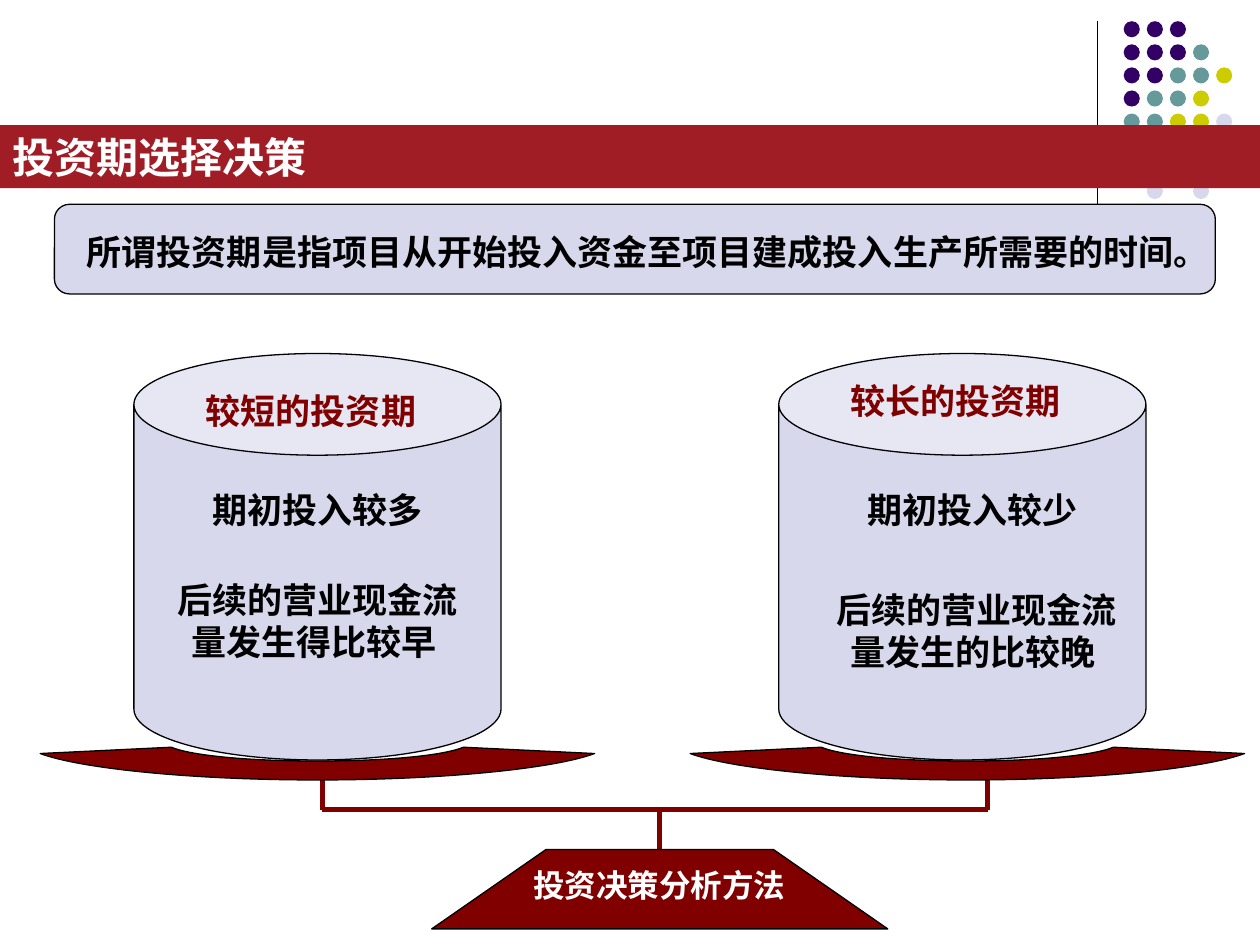
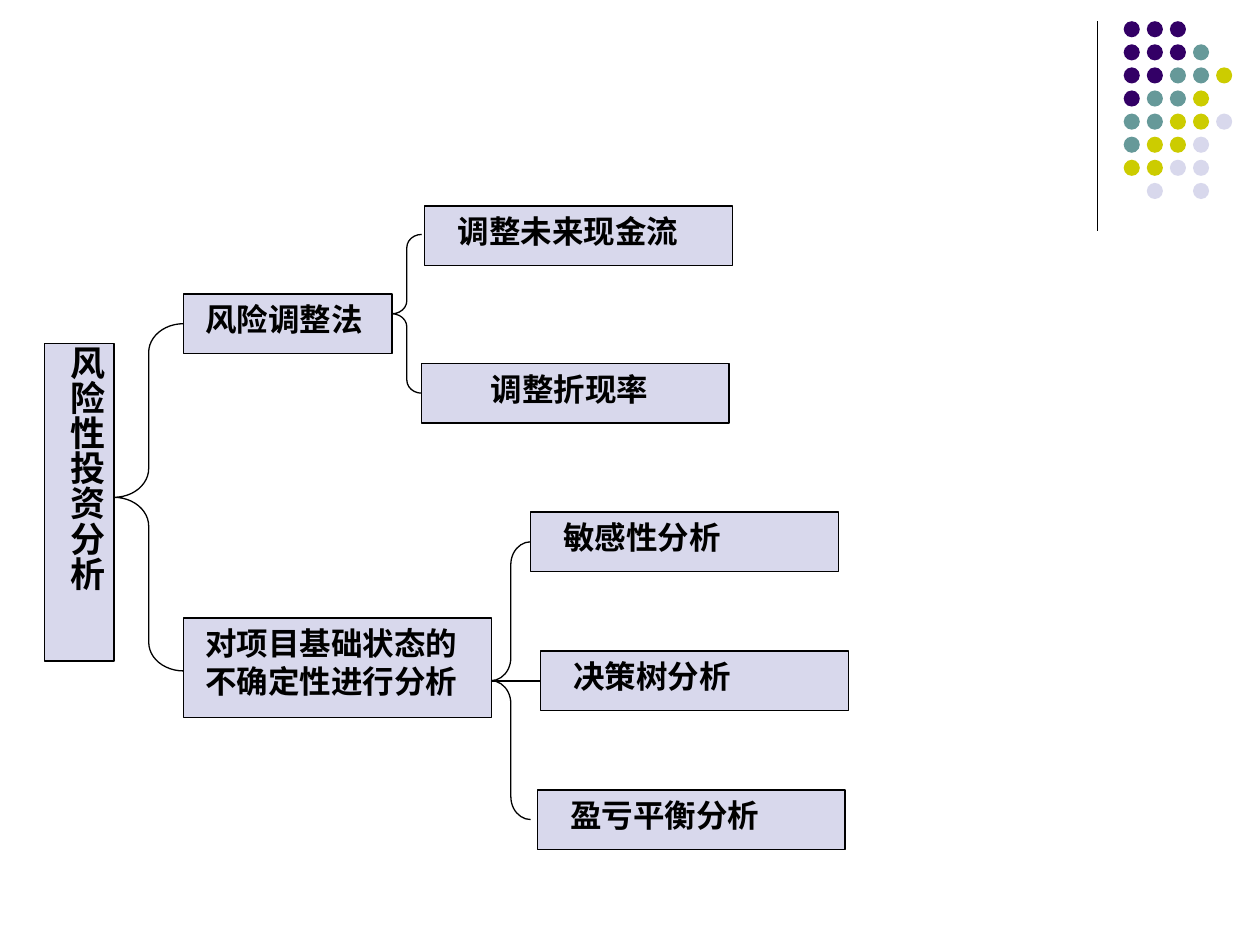
from dataclasses import dataclass

from lxml import etree
from pptx import Presentation
from pptx.dml.color import RGBColor
from pptx.enum.shapes import MSO_CONNECTOR, MSO_SHAPE
from pptx.enum.text import MSO_ANCHOR, PP_ALIGN
from pptx.oxml.ns import qn
from pptx.util import Pt

RECT = MSO_SHAPE.RECTANGLE
ROUND = MSO_SHAPE.ROUNDED_RECTANGLE
OVAL = MSO_SHAPE.OVAL
CAN = MSO_SHAPE.CAN
BRACE = MSO_SHAPE.LEFT_BRACE
TRAPEZOID = MSO_SHAPE.TRAPEZOID
STRAIGHT = MSO_CONNECTOR.STRAIGHT
TOP = MSO_ANCHOR.TOP
MIDDLE = MSO_ANCHOR.MIDDLE
LEFT = PP_ALIGN.LEFT
CENTER = PP_ALIGN.CENTER

FONT = "Arial"
BLACK, WHITE = "000000", "FFFFFF"
PALE, MAROON, BAND = "D8D8EC", "800000", "A11D26"
DOTS = {"P": "330066", "T": "669999", "Y": "CCCC00", "L": PALE}
GRID = ["PPP", "PPPT", "PPTTY", "PTTY", "TTYYL", "TYYL", "YYLL", " L L"]


@dataclass
class Box:
    x: float
    y: float
    w: float
    h: float


@dataclass
class Style:
    size: float = 20
    color: str = BLACK
    align: int = LEFT
    anchor: int = TOP
    left: float = 7.2
    right: float = 7.2
    top: float = 3.6
    base: float = 3.6


@dataclass
class Label:
    text: str
    box: Box
    style: Style


@dataclass
class Node:
    text: str
    box: Box
    pad: float = 18.7


@dataclass
class Fork:
    box: Box
    bend: float


@dataclass
class Bar:
    x1: float
    y1: float
    x2: float
    y2: float


def tint(code: str) -> RGBColor:
    return RGBColor.from_string(code)


def paint(shape, fill: str | None, line: str | None) -> None:
    shape.shadow.inherit = False
    if fill:
        shape.fill.solid()
        shape.fill.fore_color.rgb = tint(fill)
    else:
        shape.fill.background()
    if line:
        shape.line.color.rgb = tint(line)
        shape.line.width = Pt(0.75)
    else:
        shape.line.fill.background()


def write(shape, text: str, style: Style) -> None:
    frame = shape.text_frame
    frame.word_wrap = True
    frame.vertical_anchor = style.anchor
    frame.margin_left, frame.margin_right = Pt(style.left), Pt(style.right)
    frame.margin_top, frame.margin_bottom = Pt(style.top), Pt(style.base)
    frame.text = text
    for para in frame.paragraphs:
        para.alignment = style.align
        for run in para.runs:
            run.font.name = FONT
            run.font.size = Pt(style.size)
            run.font.bold = True
            run.font.color.rgb = tint(style.color)


def draw(slide, kind: int, box: Box, fill: str | None = None,
         line: str | None = BLACK, bends: tuple = ()):
    shape = slide.shapes.add_shape(kind, Pt(box.x), Pt(box.y), Pt(box.w), Pt(box.h))
    for index, bend in enumerate(bends):
        shape.adjustments[index] = bend
    paint(shape, fill, line)
    return shape


def label(slide, item: Label) -> None:
    box = item.box
    shape = slide.shapes.add_textbox(Pt(box.x), Pt(box.y), Pt(box.w), Pt(box.h))
    write(shape, item.text, item.style)


def rule(slide, bar: Bar, color: str = BLACK, width: float = 0.75) -> None:
    line = slide.shapes.add_connector(
        STRAIGHT, Pt(bar.x1), Pt(bar.y1), Pt(bar.x2), Pt(bar.y2))
    line.line.color.rgb = tint(color)
    line.line.width = Pt(width)
    etree.SubElement(line.element.spPr, qn("a:effectLst"))


def arc(half: list) -> list:
    return half + [(-x, y) for x, y in reversed(half[:-1])]


def bend(shape, starts: tuple) -> None:
    lines = list(shape.element.spPr.iter(qn("a:lnTo")))
    for start in starts:
        curve = etree.Element(qn("a:cubicBezTo"))
        lines[start].addprevious(curve)
        for line in lines[start:start + 3]:
            curve.append(line[0])
            line.getparent().remove(line)


def tray(slide, mid: float) -> None:
    inner = arc([(83.5, 427), (71.3, 432), (38.2, 434.9), (0, 434.9)])
    outer = arc([(-158.4, 430.6), (-135.4, 439.2), (-72, 445.7), (0, 445.7)])
    first, *rest = [(Pt(mid + x), Pt(y)) for x, y in inner + outer]
    maker = slide.shapes.build_freeform(*first)
    maker.add_line_segments(rest, close=True)
    shape = maker.convert_to_shape()
    bend(shape, (0, 3, 7, 10))
    paint(shape, MAROON, BLACK)


def base(deck, skip: tuple = ()):
    slide = deck.slides.add_slide(deck.slide_layouts[6])
    rule(slide, Bar(627, 12.2, 627, 131.8))
    for row, marks in enumerate(GRID):
        for col, mark in enumerate(marks):
            if mark in DOTS and row not in skip:
                spot = Box(642.1 + col * 13.2, 12.1 + row * 13.2, 9.2, 9.2)
                draw(slide, OVAL, spot, DOTS[mark], None)
    return slide


def period(deck) -> None:
    slide = base(deck, skip=(5, 6))
    band = draw(slide, RECT, Box(0, 71.5, 720, 36), BAND, None)
    write(band, "投资期选择决策", Style(24, WHITE, anchor=MIDDLE))
    note = draw(slide, ROUND, Box(31.1, 116.8, 663.4, 51.2), PALE, bends=(0.167,))
    write(note, "所谓投资期是指项目从开始投入资金至项目建成投入生产所需要的时间。",
          Style(anchor=MIDDLE, left=16, right=0, top=6.6))

    for x in (76.5, 445):
        draw(slide, CAN, Box(x, 202, 209.8, 232.3), PALE, bends=(0.277,))
    head, body = Style(color=MAROON), Style(align=CENTER)
    for item in (
        Label("较短的投资期", Box(110.5, 219, 137, 31), head),
        Label("期初投入较多", Box(76.7, 275.5, 209.7, 31), body),
        Label("后续的营业现金流量发生得比较早 ", Box(93.6, 327, 176, 55), body),
        Label("较长的投资期", Box(478.8, 213.4, 148, 31), head),
        Label("期初投入较少", Box(473.9, 275.5, 164, 31), body),
        Label("后续的营业现金流量发生的比较晚 ", Box(467.7, 332.6, 181, 55), body),
    ):
        label(slide, item)

    for bar in (Bar(564.3, 445.7, 564.3, 462.7), Bar(184.3, 445.7, 184.3, 462.7),
                Bar(184.3, 462.7, 564.3, 462.7), Bar(377, 462.7, 377, 485.3)):
        rule(slide, bar, MAROON, 3)
    for mid in (181.4, 552.8):
        tray(slide, mid)
    draw(slide, TRAPEZOID, Box(246.7, 485.4, 260.6, 45.4), MAROON, bends=(1.44,))
    label(slide, Label("投资决策分析方法", Box(297.5, 491.5, 181.5, 29), Style(18, WHITE)))


def risk(deck) -> None:
    slide = base(deck)
    root = draw(slide, RECT, Box(25.4, 196.3, 39.7, 181.4), PALE)
    write(root, "风险性投资分析", Style(left=12.4, right=3.6, top=1.4, base=0))
    root.element.txBody.bodyPr.set("vert", "eaVert")

    for fork in (Fork(Box(65.1, 185, 39.7, 198.4), 0.413),
                 Fork(Box(224, 134, 17, 90.7), 0.441),
                 Fork(Box(280.6, 309.6, 22.6, 158.7), 0.58)):
        draw(slide, BRACE, fork.box, bends=(fork.bend, 0.5))
    rule(slide, Bar(280.8, 389.2, 308.9, 389.2))

    for node in (
        Node("风险调整法", Box(104.9, 168, 119.2, 34), 12.4),
        Node("对项目基础状态的不确定性进行分析", Box(104.9, 353.2, 175.8, 56.7), 12.4),
        Node("调整未来现金流", Box(242.8, 117.7, 175.8, 34)),
        Node("调整折现率", Box(240.9, 207.7, 175.8, 34), 39.5),
        Node("敏感性分析", Box(303.2, 292.6, 175.8, 34)),
        Node("决策树分析", Box(309, 372, 175.8, 34)),
        Node("盈亏平衡分析", Box(307.2, 451.5, 175.8, 34)),
    ):
        shape = draw(slide, RECT, node.box, PALE)
        write(shape, node.text, Style(18, left=node.pad))


def main() -> None:
    deck = Presentation()
    deck.slide_width, deck.slide_height = Pt(720), Pt(540)
    period(deck)
    risk(deck)
    deck.save("out.pptx")


if __name__ == "__main__":
    main()
